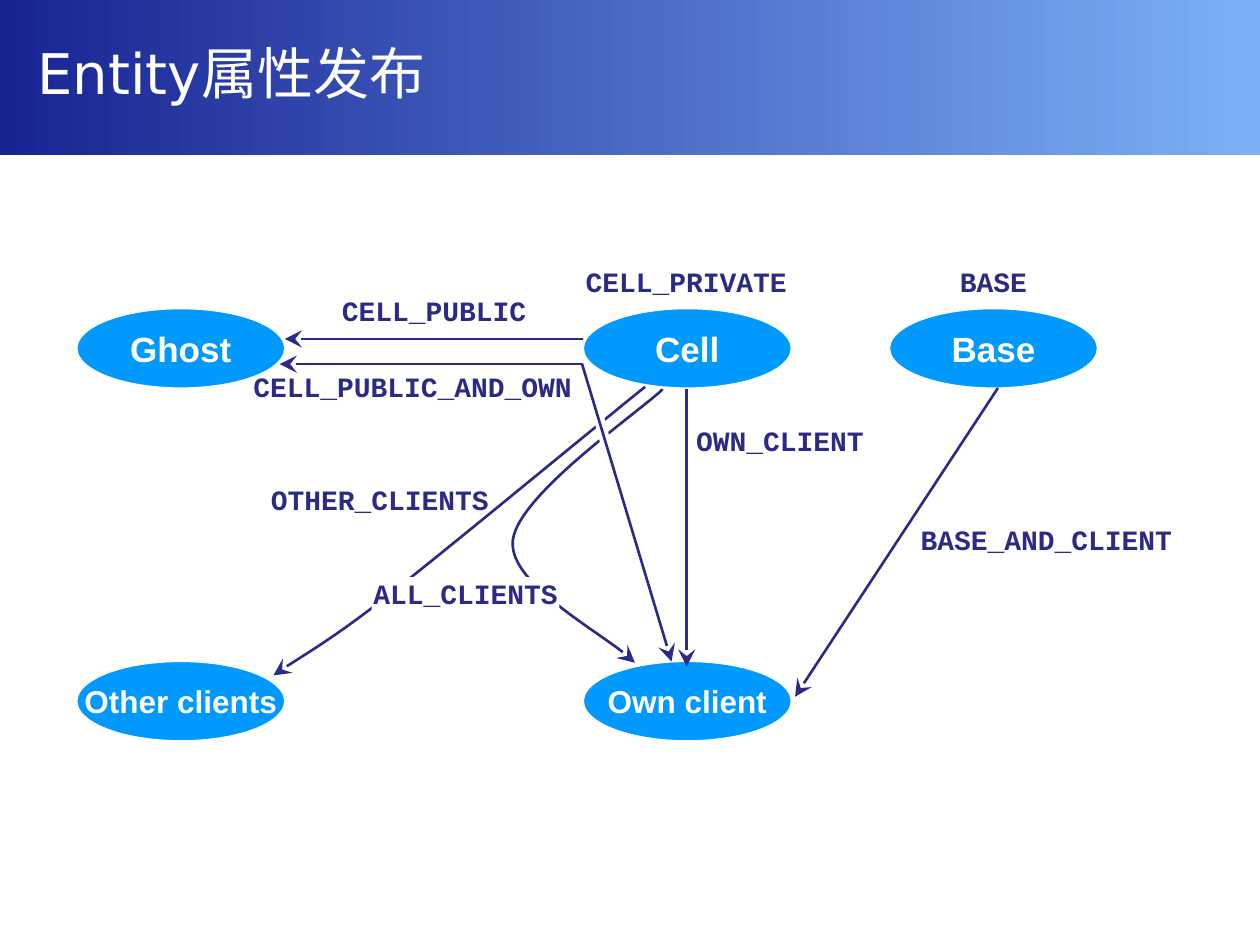
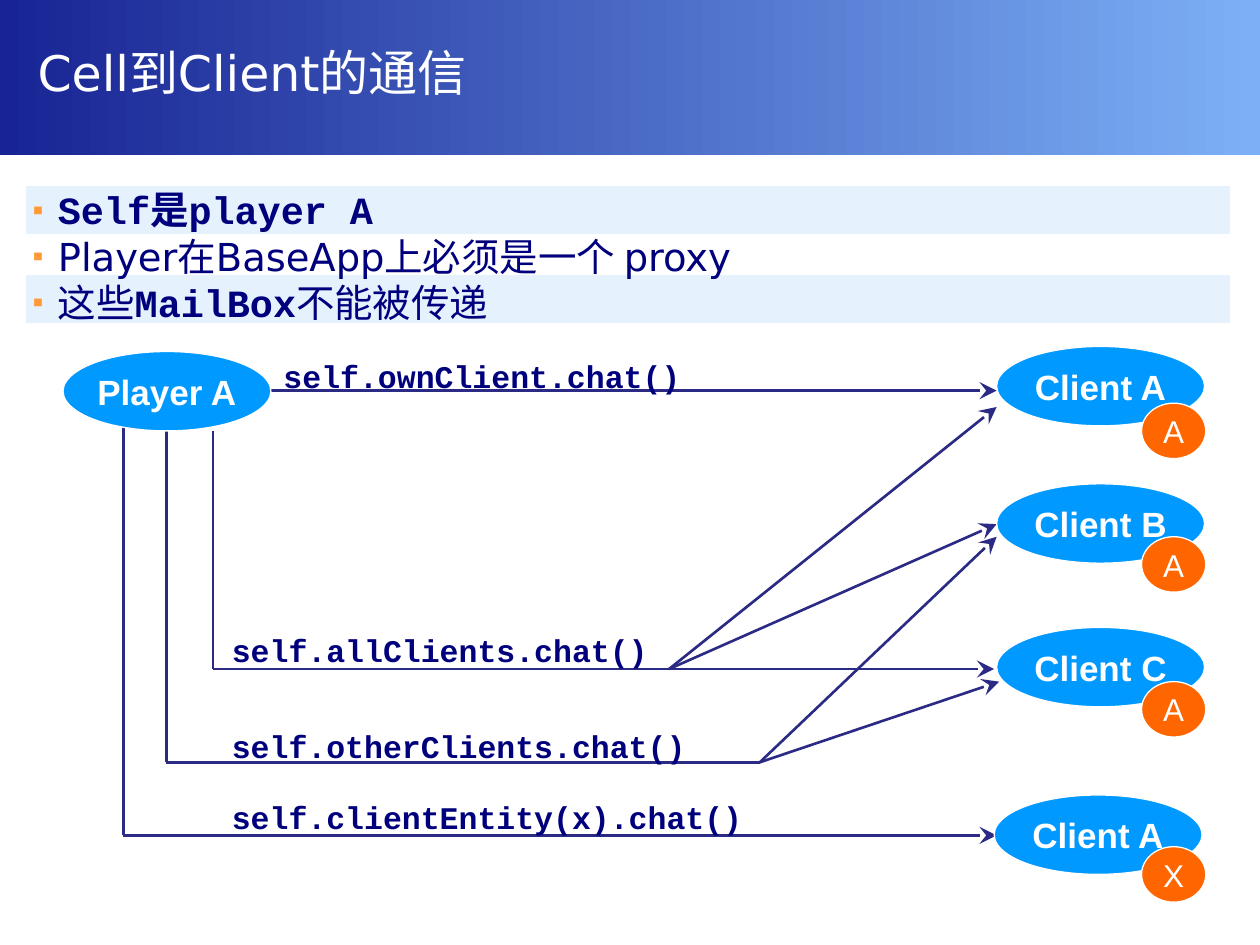
import pptx
import pptx.dml.color
import pptx.enum.shapes
import pptx.enum.text
import pptx.oxml
import pptx.oxml.ns
import pptx.util
from lxml import etree

Inches, Pt = pptx.util.Inches, pptx.util.Pt
qn = pptx.oxml.ns.qn
Shape = pptx.enum.shapes.MSO_SHAPE
Align = pptx.enum.text.PP_ALIGN
Anchor = pptx.enum.text.MSO_ANCHOR

COLORS = {
    "white": "FFFFFF", "dark": "182494", "light": "7CB0F6", "line": "2B2B85",
    "node": "0099FF", "badge": "FF6600", "stripe": "E6F1FE", "body": "00007D",
    "bullet": "FF9933",
}
SANS, MONO, TITLE = "Arial", "Courier New", "DejaVu Sans"


def rgb(name):
    return pptx.dml.color.RGBColor.from_string(COLORS[name])


def curve(start, *parts, steps=24):
    """Points along a chain of cubic curves."""
    points = [start]
    for b, c, d in parts:
        a = points[-1]
        for i in range(1, steps + 1):
            t = i / steps
            u = 1 - t
            points.append(tuple(
                u**3 * a[k] + 3 * u * u * t * b[k] + 3 * u * t * t * c[k] + t**3 * d[k]
                for k in (0, 1)))
    return points


class Deck:
    def __init__(self):
        self.prs = pptx.Presentation()
        self.prs.slide_width, self.prs.slide_height = Inches(10), Inches(7.5)
        self.slide = None

    def add(self, title, size):
        """Start a slide with its gradient band and title."""
        self.slide = self.prs.slides.add_slide(self.prs.slide_layouts[6])
        band = self.shape(Shape.RECTANGLE, (0, 0, 10, 1.23), "dark")
        band.line.fill.background()
        band.fill.gradient()
        band.fill.gradient_angle = 0
        for stop, name, pos in zip(band.fill.gradient_stops, ("dark", "light"), (0, 1)):
            stop.color.rgb, stop.position = rgb(name), pos
        box = self.text(title, (0.2, 0, 9.57, 1.15), TITLE, size, "white",
                        bold=False, wrap=True, inset=(0.1, 0.04, 0.1, 0.05))
        box.text_frame.vertical_anchor = Anchor.MIDDLE

    def shape(self, kind, area, fill):
        item = self.slide.shapes.add_shape(kind, *map(Inches, area))
        item.shadow.inherit = False
        item.fill.solid()
        item.fill.fore_color.rgb = rgb(fill)
        item.line.color.rgb = rgb("white")
        item.line.width = Pt(0.75)
        return item

    def font(self, run, face, size, color, bold):
        run.font.name, run.font.size, run.font.bold = face, Pt(size), bold
        run.font.color.rgb = rgb(color)

    def frame(self, item, inset, wrap=False):
        frame = item.text_frame
        frame.word_wrap = wrap
        (frame.margin_left, frame.margin_top,
         frame.margin_right, frame.margin_bottom) = map(Inches, inset)
        return frame

    def text(self, words, area, face, size, color, bold=True, wrap=False,
             inset=(0, 0, 0, 0), align=Align.LEFT):
        box = self.slide.shapes.add_textbox(*map(Inches, area))
        frame = self.frame(box, inset, wrap)
        frame.text = words
        frame.paragraphs[0].alignment = align
        self.font(frame.paragraphs[0].runs[0], face, size, color, bold)
        return box

    def label(self, words, left, top, width):
        return self.text(words, (left, top, width, 0.27), MONO, 16, "line",
                         align=Align.CENTER)

    def call(self, words, left, top):
        self.text(words, (left, top, 4.4, 0.3), MONO, 18, "body")

    def oval(self, words, left, top, size=20, dims=(1.65, 0.63), fill="node", bold=True):
        item = self.shape(Shape.OVAL, (left, top, *dims), fill)
        frame = self.frame(item, (0.1, 0.05, 0.1, 0.05))
        frame.vertical_anchor = Anchor.MIDDLE
        frame.text = words
        frame.paragraphs[0].alignment = Align.CENTER
        self.font(frame.paragraphs[0].runs[0], SANS, size, "white", bold)

    def badge(self, words, top):
        self.oval(words, 9.06, top, 18, (0.51, 0.44), "badge", False)

    def stroke(self, item, color, width, arrow):
        item.line.color.rgb = rgb(color)
        item.line.width = Pt(width)
        if arrow:
            line = item._element.spPr.find(qn("a:ln"))
            etree.SubElement(line, qn("a:tailEnd"), type="stealth", w="lg", len="lg")

    def line(self, start, end, arrow=True, color="line", width=1.5):
        item = self.slide.shapes.add_connector(
            pptx.enum.shapes.MSO_CONNECTOR.STRAIGHT, *map(Inches, start + end))
        self.stroke(item, color, width, arrow)
        etree.SubElement(item._element.spPr, qn("a:effectLst"))

    def bend(self, points):
        spots = [(Inches(x), Inches(y)) for x, y in points]
        pen = self.slide.shapes.build_freeform(*spots[0])
        pen.add_line_segments(spots[1:], close=False)
        item = pen.convert_to_shape()
        item.shadow.inherit = False
        item.fill.background()
        self.stroke(item, "line", 1.5, True)

    def list(self, area, rows):
        box = self.slide.shapes.add_textbox(*map(Inches, area))
        frame = self.frame(box, (0.06, 0.01, 0, 0), True)
        for i, row in enumerate(rows):
            para = frame.add_paragraph() if i else frame.paragraphs[0]
            props = para._p.get_or_add_pPr()
            props.set("marL", str(Inches(0.2)))
            props.set("indent", str(-Inches(0.2)))
            tint = etree.SubElement(props, qn("a:buClr"))
            etree.SubElement(tint, qn("a:srgbClr"), val=COLORS["bullet"])
            etree.SubElement(props, qn("a:buSzPct"), val="80000")
            etree.SubElement(props, qn("a:buFont"), typeface=SANS)
            etree.SubElement(props, qn("a:buChar"), char="▪")
            for words, face, bold in row:
                run = para.add_run()
                run.text = words
                self.font(run, face, 22, "body", bold)


def publish(deck):
    deck.add("Entity属性发布", 32)
    # Nodes
    for words, left, top, size in (
            ("Ghost", 0.61, 2.45, 20), ("Cell", 4.63, 2.45, 20), ("Base", 7.06, 2.45, 20),
            ("Other clients", 0.61, 5.25, 18), ("Own client", 4.63, 5.25, 18)):
        deck.oval(words, left, top, size)
    # Labels
    for words, left, top, width in (
            ("BASE", 7.06, 2.1, 1.65), ("CELL_PRIVATE", 4.62, 2.1, 1.65),
            ("CELL_PUBLIC", 2.64, 2.33, 1.61), ("CELL_PUBLIC_AND_OWN", 1.94, 2.93, 2.67),
            ("OWN_CLIENT", 5.52, 3.36, 1.34), ("OTHER_CLIENTS", 2.13, 3.83, 1.77),
            ("BASE_AND_CLIENT", 7.3, 4.15, 2.01)):
        deck.label(words, left, top, width)
    # Straight arrows
    for start, end in (
            ((4.63, 2.69), (2.26, 2.69)), ((4.63, 2.89), (2.22, 2.89)),
            ((5.45, 3.09), (5.45, 5.29)), ((7.92, 3.08), (6.31, 5.53))):
        deck.line(start, end)
    # Curved arrows, with the label that interrupts them
    deck.bend(curve((5.12, 3.07),
                    ((4.77, 3.35), (3.55, 4.36), (3.05, 4.75)),
                    ((2.56, 5.13), (2.35, 5.23), (2.17, 5.36))))
    deck.bend(curve((5.26, 3.09),
                    ((5.06, 3.28), (4.11, 3.93), (4.07, 4.29)),
                    ((4.03, 4.65), (4.84, 5.05), (5.04, 5.26))))
    both = deck.label("ALL_CLIENTS", 2.95, 4.58, 1.49)
    both.fill.solid()
    both.fill.fore_color.rgb = rgb("white")
    # Arrow that crosses the curves, over a white gap
    deck.line((4.69, 3.08), (4.88, 3.79), False, "white", 6)
    deck.line((4.62, 2.89), (5.33, 5.25))


def talk(deck):
    deck.add("Cell到Client的通信", 28)
    # Striped list
    for top in (1.47, 2.18):
        deck.shape(Shape.RECTANGLE, (0.2, top, 9.57, 0.39), "stripe")
    deck.list((0.2, 1.47, 9.57, 1.06), (
        [("Self是player A", MONO, True)],
        [("Player在BaseApp上必须是一个 proxy", TITLE, False)],
        [("这些", TITLE, False), ("MailBox", MONO, True), ("不能被传递", MONO, False)]))
    # Paths down from the player and across to each fork
    all_fork, other_fork = (5.31, 5.31), (6.03, 6.05)
    for x, top, fork in ((1.69, 3.42, all_fork), (1.32, 3.42, other_fork),
                         (0.98, 3.36, (0.98, 6.63))):
        deck.line((x, top), (x, fork[1]), False)
        if fork[0] > x:
            deck.line((x, fork[1]), fork, False)
    # Arrows to the clients
    for start, ends in (
            ((2.15, 3.1), [(7.91, 3.1)]),
            (all_fork, [(7.91, 3.23), (7.91, 4.16), (7.89, 5.31)]),
            (other_fork, [(7.91, 4.26), (7.93, 5.41)]),
            ((0.98, 6.63), [(7.91, 6.63)])):
        for end in ends:
            deck.line(start, end)
    # Calls
    deck.call("self.ownClient.chat()", 2.25, 2.83)
    deck.call("self.allClients.chat()", 1.84, 5.01)
    deck.call("self.otherClients.chat()", 1.84, 5.77)
    deck.call("self.clientEntity(x).chat()", 1.84, 6.33)
    # Player and clients with their badges
    deck.oval("Player A", 0.5, 2.79)
    for words, left, top, mark, low in (
            ("Client A", 7.91, 2.75, "A", 3.2), ("Client B", 7.91, 3.84, "A", 4.26),
            ("Client C", 7.91, 4.98, "A", 5.41), ("Client A", 7.89, 6.31, "X", 6.72)):
        deck.oval(words, left, top)
        deck.badge(mark, low)


def main():
    deck = Deck()
    publish(deck)
    talk(deck)
    deck.prs.save("out.pptx")


if __name__ == "__main__":
    main()
